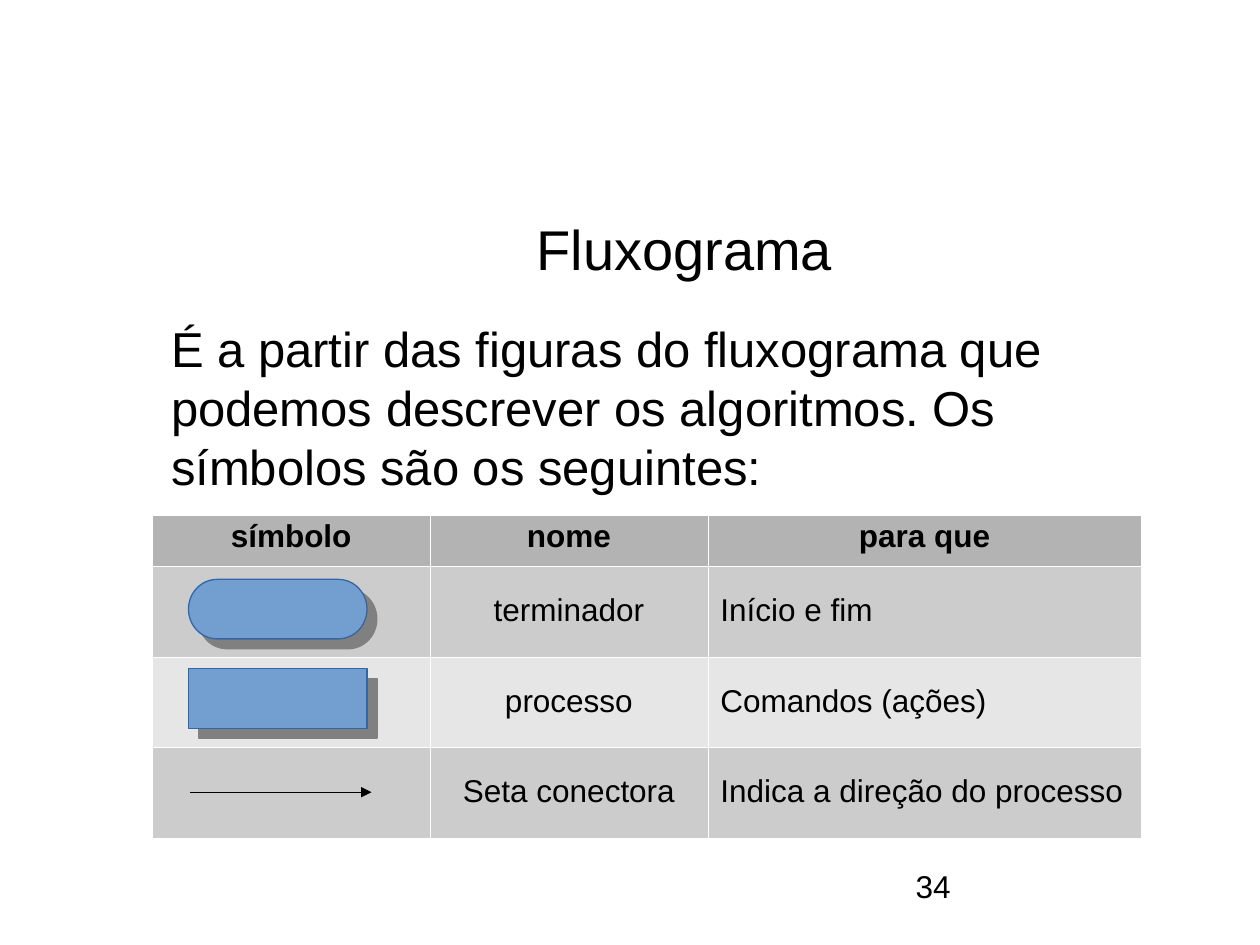
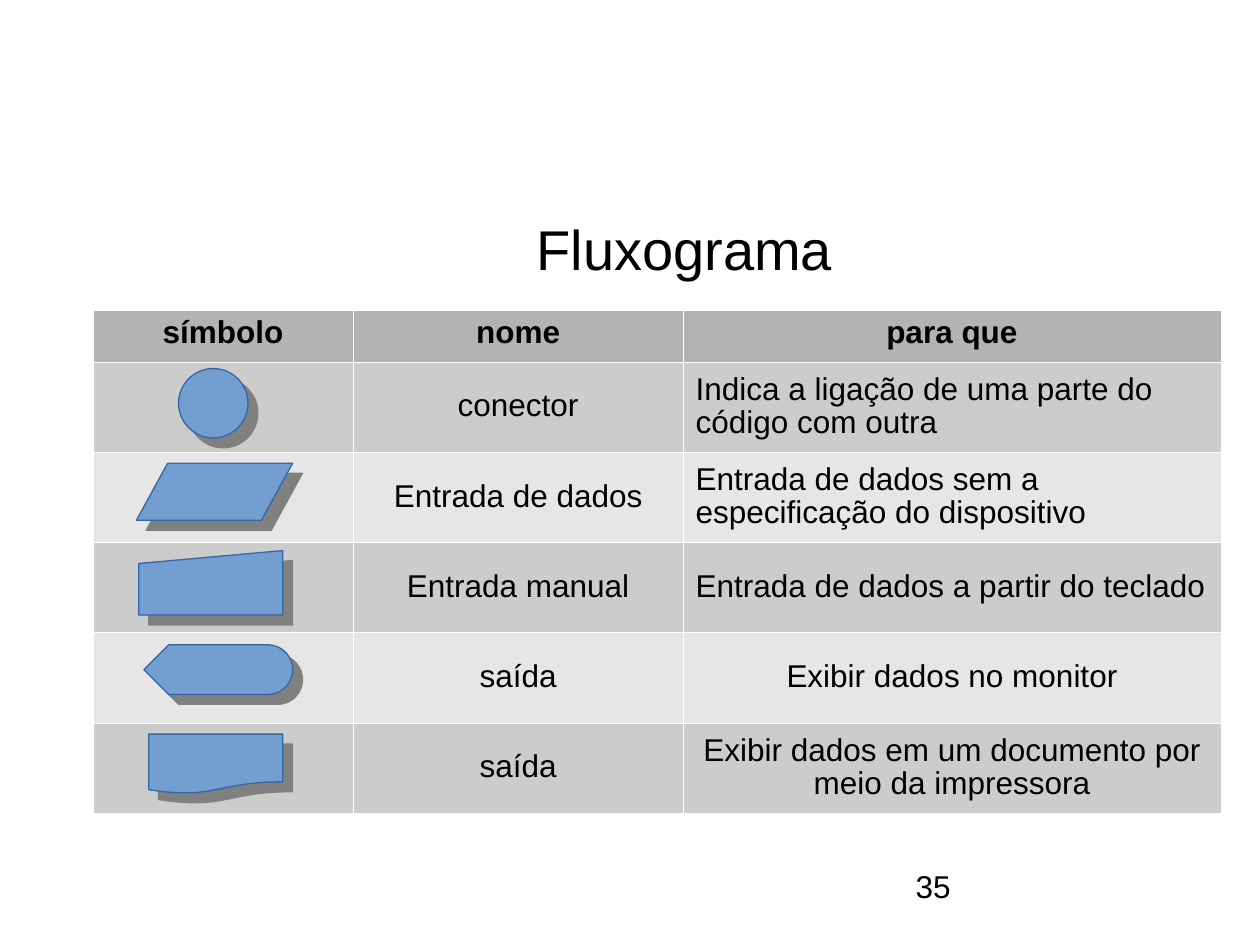
from dataclasses import dataclass
from typing import Optional

from lxml import etree
from pptx import Presentation
from pptx import util as u
from pptx.dml.color import RGBColor
from pptx.enum import shapes, text
from pptx.oxml import parse_xml
from pptx.oxml.ns import nsdecls, qn

# Shared style
FONT = "Arial"
BLACK, WHITE = "000000", "FFFFFF"
HEADER_FILL = "B3B3B3"
ROW_FILLS = ("CCCCCC", "E6E6E6")
SYMBOL_FILL, SYMBOL_LINE, SHADOW = "729FCF", "3465A4", "808080"
HEADERS = ("símbolo", "nome", "para que")
HEADER_HEIGHT = 1.03
LEFT, CENTER = text.PP_ALIGN.LEFT, text.PP_ALIGN.CENTER
SHAPE = shapes.MSO_SHAPE


# All lengths below are centimetres
@dataclass
class Box:
    left: float
    top: float
    width: float
    height: float

    def emu(self) -> tuple:
        return tuple(u.Cm(v) for v in (self.left, self.top, self.width, self.height))


@dataclass
class Symbol:
    kind: shapes.MSO_SHAPE
    box: Box


@dataclass
class Arrow:
    x1: float
    x2: float
    y: float


@dataclass
class Row:
    name: str
    purpose: str
    align: text.PP_ALIGN = LEFT


@dataclass
class SymbolSlide:
    number: int
    left: float
    top: float
    columns: tuple
    row_height: float
    rows: list
    symbols: list
    intro: Optional[str] = None
    arrow: Optional[Arrow] = None


TITLE_BOX = Box(3.4, 4.19, 20.8, 1.6)
INTRO_BOX = Box(3.2, 6.3, 21, 9.73)
NUMBER_BOX = Box(18.21, 17.35, 5.89, 1.3)

SLIDES = [
    SymbolSlide(
        34, 3.07, 10.38, (5.6, 5.6, 8.74), 1.83,
        rows=[
            Row("terminador", "Início e fim"),
            Row("processo", "Comandos (ações)"),
            Row("Seta conectora", "Indica a direção do processo"),
        ],
        symbols=[
            Symbol(SHAPE.FLOWCHART_TERMINATOR, Box(3.8, 11.68, 3.6, 1.2)),
            Symbol(SHAPE.FLOWCHART_PROCESS, Box(3.8, 13.48, 3.6, 1.2)),
        ],
        intro="É a partir das figuras do fluxograma que podemos descrever "
              "os algoritmos. Os símbolos são os seguintes:",
        arrow=Arrow(3.84, 7.49, 15.97),
    ),
    SymbolSlide(
        35, 1.87, 6.26, (5.25, 6.65, 10.84), 1.82,
        rows=[
            Row("conector", "Indica a ligação de uma parte do código com outra"),
            Row("Entrada de dados", "Entrada de dados sem a especificação do dispositivo"),
            Row("Entrada manual", "Entrada de dados a partir do teclado"),
            Row("saída", "Exibir dados no monitor", CENTER),
            Row("saída", "Exibir dados em um documento por meio da impressora", CENTER),
        ],
        symbols=[
            Symbol(SHAPE.FLOWCHART_CONNECTOR, Box(3.6, 7.43, 1.4, 1.4)),
            Symbol(SHAPE.FLOWCHART_DATA, Box(2.75, 9.34, 3.15, 1.15)),
            Symbol(SHAPE.FLOWCHART_MANUAL_INPUT, Box(2.8, 11.1, 2.9, 1.3)),
            Symbol(SHAPE.FLOWCHART_DISPLAY, Box(2.9, 13, 3, 1)),
            Symbol(SHAPE.FLOWCHART_DOCUMENT, Box(3, 14.8, 2.7, 1.2)),
        ],
    ),
]


def rgb(value: str) -> RGBColor:
    return RGBColor.from_string(value)


def write(tf, words: str, size: int, align=LEFT, bold: bool = False):
    """Fill a text frame with one styled paragraph."""
    tf.word_wrap = True
    p = tf.paragraphs[0]
    p.text = words
    p.alignment = align
    p.font.name, p.font.size, p.font.bold = FONT, u.Pt(size), bold
    p.font.color.rgb = rgb(BLACK)
    return p


def add_text(s, box: Box, words: str, size: int, align=LEFT) -> None:
    write(s.shapes.add_textbox(*box.emu()).text_frame, words, size, align)


def style_cell(cell, fill: str) -> None:
    """Thin white borders and a solid fill."""
    tc_pr = cell._tc.get_or_add_tcPr()
    for side in ("lnL", "lnR", "lnT", "lnB"):
        tc_pr.append(parse_xml(
            f'<a:{side} {nsdecls("a")} w="762"><a:solidFill>'
            f'<a:srgbClr val="{WHITE}"/></a:solidFill></a:{side}>'))
    cell.fill.solid()
    cell.fill.fore_color.rgb = rgb(fill)


def fill_cell(cell, words: str, align, bold: bool = False) -> None:
    write(cell.text_frame, words, 18, align, bold).line_spacing = 0.94


def add_symbol_table(s, page: SymbolSlide) -> None:
    heights = [HEADER_HEIGHT] + [page.row_height] * len(page.rows)
    box = Box(page.left, page.top, sum(page.columns), sum(heights))
    table = s.shapes.add_table(len(heights), len(page.columns), *box.emu()).table
    table.first_row = table.horz_banding = False
    for column, width in zip(table.columns, page.columns):
        column.width = u.Cm(width)
    for row, height in zip(table.rows, heights):
        row.height = u.Cm(height)

    for c, header in enumerate(HEADERS):
        style_cell(table.cell(0, c), HEADER_FILL)
        fill_cell(table.cell(0, c), header, CENTER, bold=True)
    for i, row in enumerate(page.rows):
        cells = [table.cell(i + 1, c) for c in range(len(HEADERS))]
        for cell in cells:
            style_cell(cell, ROW_FILLS[i % 2])
            cell.vertical_anchor = text.MSO_ANCHOR.MIDDLE
        fill_cell(cells[1], row.name, CENTER)
        fill_cell(cells[2], row.purpose, row.align)


def add_symbol(s, symbol: Symbol) -> None:
    sp = s.shapes.add_shape(symbol.kind, *symbol.box.emu())
    sp.fill.solid()
    sp.fill.fore_color.rgb = rgb(SYMBOL_FILL)
    sp.line.color.rgb = rgb(SYMBOL_LINE)
    sp.line.width = u.Pt(0.75)
    # Hard shadow, 8 pt towards the lower right
    sp._element.spPr.append(parse_xml(
        f'<a:effectLst {nsdecls("a")}><a:outerShdw blurRad="0" dist="{u.Pt(8)}" '
        f'dir="2700000" algn="tl" rotWithShape="0"><a:srgbClr val="{SHADOW}"/>'
        f'</a:outerShdw></a:effectLst>'))


def add_arrow(s, arrow: Arrow) -> None:
    y = u.Cm(arrow.y)
    line = s.shapes.add_connector(
        shapes.MSO_CONNECTOR.STRAIGHT, u.Cm(arrow.x1), y, u.Cm(arrow.x2), y)
    line.line.color.rgb = rgb(BLACK)
    line.line.width = u.Pt(0.75)
    etree.SubElement(line.line._get_or_add_ln(), qn("a:tailEnd"), type="triangle")
    etree.SubElement(line._element.spPr, qn("a:effectLst"))


def build_slide(prs, page: SymbolSlide) -> None:
    s = prs.slides.add_slide(prs.slide_layouts[6])
    add_text(s, NUMBER_BOX, str(page.number), 18)
    add_text(s, TITLE_BOX, "Fluxograma", 32, CENTER)
    if page.intro:
        add_text(s, INTRO_BOX, page.intro, 28)
    add_symbol_table(s, page)
    for symbol in page.symbols:
        add_symbol(s, symbol)
    if page.arrow:
        add_arrow(s, page.arrow)


def main() -> None:
    prs = Presentation()
    prs.slide_width, prs.slide_height = u.Cm(25.4), u.Cm(19.05)
    for page in SLIDES:
        build_slide(prs, page)
    prs.save("out.pptx")


if __name__ == "__main__":
    main()
